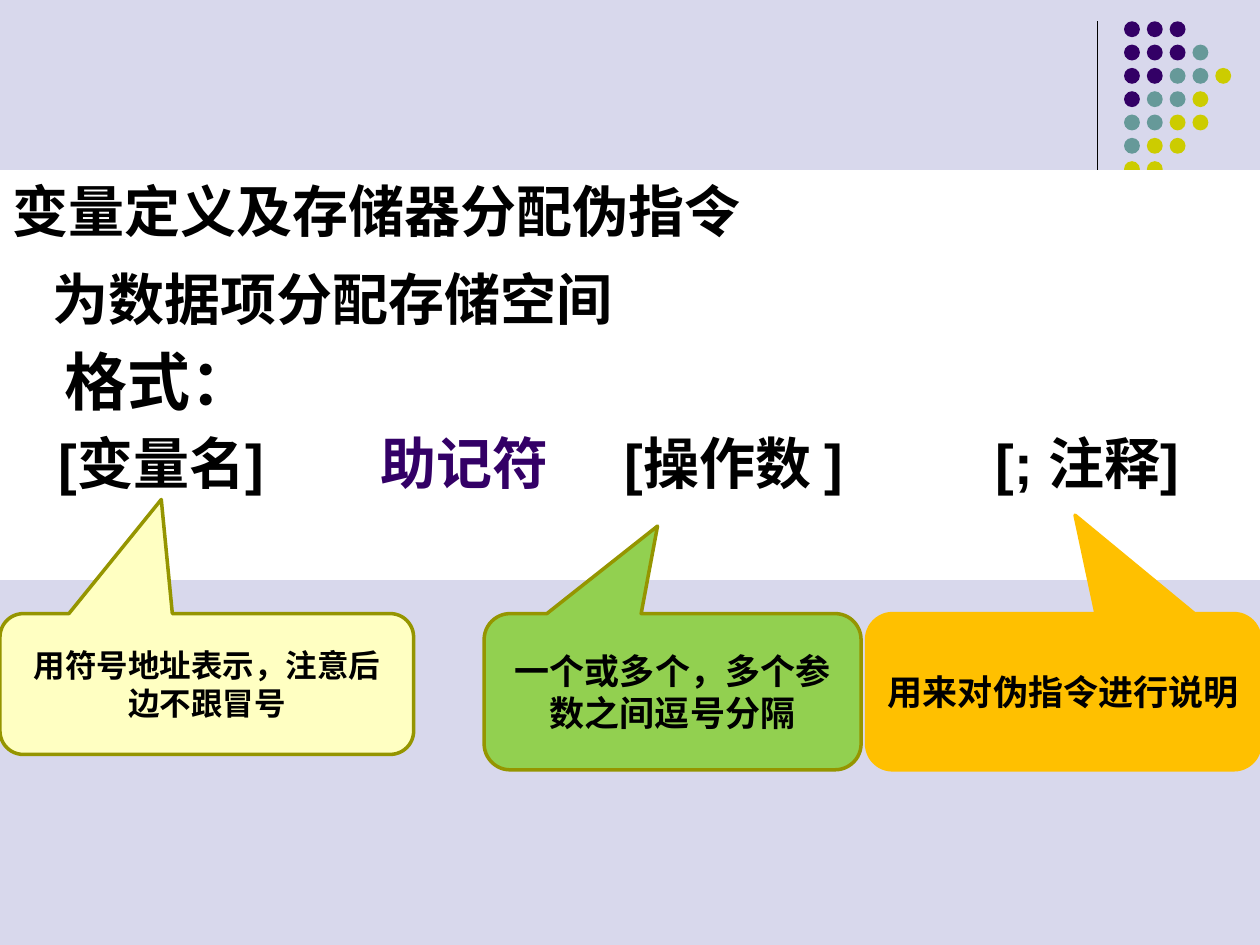
"""Builds the slide on variable definition and storage allocation directives."""
import pptx
import pptx.util
import pptx.dml.color
import pptx.enum.shapes
import pptx.enum.text
import pptx.oxml.ns
from lxml import etree

Cm, Pt = pptx.util.Cm, pptx.util.Pt
SHAPE = pptx.enum.shapes.MSO_SHAPE

THEME = {
    "bg": "D8D8EC", "panel": "FFFFFF", "text": "000000", "accent": "330066",
    "teal": "669999", "lime": "CCCC00", "olive": "959500",
    "orange": "FFC000", "green": "92D050", "cream": "FFFFC2",
    "font": "Arial", "note_font": "Calibri",
    "large": 36, "body": 32, "note": 20, "small": 18,
}

DOT_ROWS = ["AAA", "AAAT", "AATTL", "ATTL", "TTLL", "TLL", "LL"]
DOT_COLORS = {"A": "accent", "T": "teal", "L": "lime"}
DOT_LEFT, DOT_TOP, DOT_SIZE, DOT_STEP_X, DOT_STEP_Y = 22.66, 0.43, 0.32, 0.46, 0.47

LINES = [
    ("变量定义及存储器分配伪指令", "body", 0, 12),
    ("为数据项分配存储空间", "body", 0.81, 6),
    ("格式：", "large", 1.06, 6),
]
FIELDS = [
    ("[变量名]", 0.94, "text"),
    ("助记符", 7.42, "accent"),
    ("[操作数 ]", 12.35, "text"),
    ("[; 注释]", 19.82, "text"),
]

CALLOUTS = [
    ("用来对伪指令进行说明", (17.47, 12.37, 7.93, 3.15), (0.03, -1.13),
     "orange", "orange", "note", "font"),
    ("一个或多个，多个参数之间逗号分隔", (9.76, 12.37, 7.6, 3.15), (-0.04, -1.06),
     "green", "olive", "note", "font"),
    ("用符号地址表示，注意后边不跟冒号", (0, 12.37, 8.34, 2.84), (-0.11, -1.31),
     "cream", "olive", "small", "note_font"),
]


def rgb(name):
    return pptx.dml.color.RGBColor.from_string(THEME[name])


def add_shape(s, kind, box, fill, line=None):
    sp = s.shapes.add_shape(kind, *map(Cm, box))
    sp.shadow.inherit = False
    sp.fill.solid()
    sp.fill.fore_color.rgb = rgb(fill)
    if line:
        sp.line.color.rgb = rgb(line)
        sp.line.width = Pt(2)
    else:
        sp.line.fill.background()
    return sp


def style(r, size, color="text", font="font"):
    r.font.size = Pt(THEME[size])
    r.font.bold = True
    r.font.name = THEME[font]
    r.font.color.rgb = rgb(color)


def add_dots(s):
    for row, pattern in enumerate(DOT_ROWS):
        for col, key in enumerate(pattern):
            box = (DOT_LEFT + col * DOT_STEP_X, DOT_TOP + row * DOT_STEP_Y,
                   DOT_SIZE, DOT_SIZE)
            add_shape(s, SHAPE.OVAL, box, DOT_COLORS[key])


def add_divider(s):
    line = s.shapes.add_connector(pptx.enum.shapes.MSO_CONNECTOR.STRAIGHT,
                                  Cm(22.12), Cm(0.43), Cm(22.12), Cm(4.65))
    line.line.color.rgb = rgb("text")
    line.line.width = Pt(0.75)
    etree.SubElement(line._element.spPr, pptx.oxml.ns.qn("a:effectLst"))


def add_format_line(p):
    p.alignment = pptx.enum.text.PP_ALIGN.LEFT
    p.space_after = Pt(6)
    tabs = etree.SubElement(p._p.get_or_add_pPr(), pptx.oxml.ns.qn("a:tabLst"))
    for text, pos, color in FIELDS:
        etree.SubElement(tabs, pptx.oxml.ns.qn("a:tab"), pos=str(Cm(pos)), algn="l")
        r = p.add_run()
        r.text = "\t" + text
        style(r, "body", color)


def add_panel(s):
    sp = add_shape(s, SHAPE.RECTANGLE, (0, 3.43, 25.4, 8.26), "panel")
    tf = sp.text_frame
    tf.word_wrap = True
    tf.vertical_anchor = pptx.enum.text.MSO_ANCHOR.TOP
    for i, (text, size, indent, after) in enumerate(LINES):
        p = tf.add_paragraph() if i else tf.paragraphs[0]
        p.text = text
        p.alignment = pptx.enum.text.PP_ALIGN.LEFT
        p.space_after = Pt(after)
        p._p.get_or_add_pPr().set("marL", str(Cm(indent)))
        style(p.runs[0], size)
    add_format_line(tf.add_paragraph())


def add_callout(s, text, box, tip, fill, line, size, font):
    sp = add_shape(s, SHAPE.ROUNDED_RECTANGULAR_CALLOUT, box, fill, line)
    sp.adjustments[0], sp.adjustments[1] = tip
    tf = sp.text_frame
    tf.word_wrap = True
    tf.vertical_anchor = pptx.enum.text.MSO_ANCHOR.MIDDLE
    tf.text = text
    p = tf.paragraphs[0]
    p.alignment = pptx.enum.text.PP_ALIGN.CENTER
    style(p.runs[0], size, font=font)


def main():
    prs = pptx.Presentation()
    prs.slide_width, prs.slide_height = Cm(25.4), Cm(19.05)
    s = prs.slides.add_slide(prs.slide_layouts[6])
    s.background.fill.solid()
    s.background.fill.fore_color.rgb = rgb("bg")
    add_divider(s)
    add_dots(s)
    add_panel(s)
    for callout in CALLOUTS:
        add_callout(s, *callout)
    prs.save("out.pptx")


if __name__ == "__main__":
    main()
